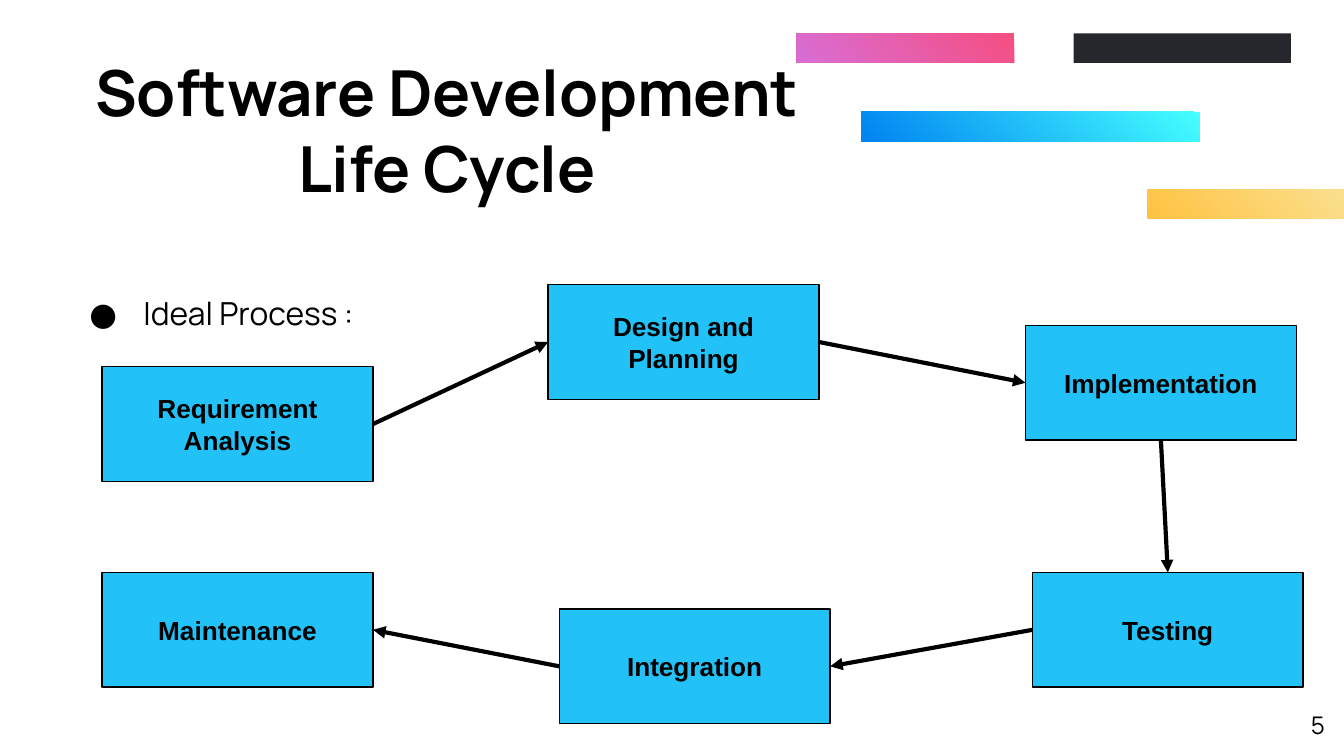
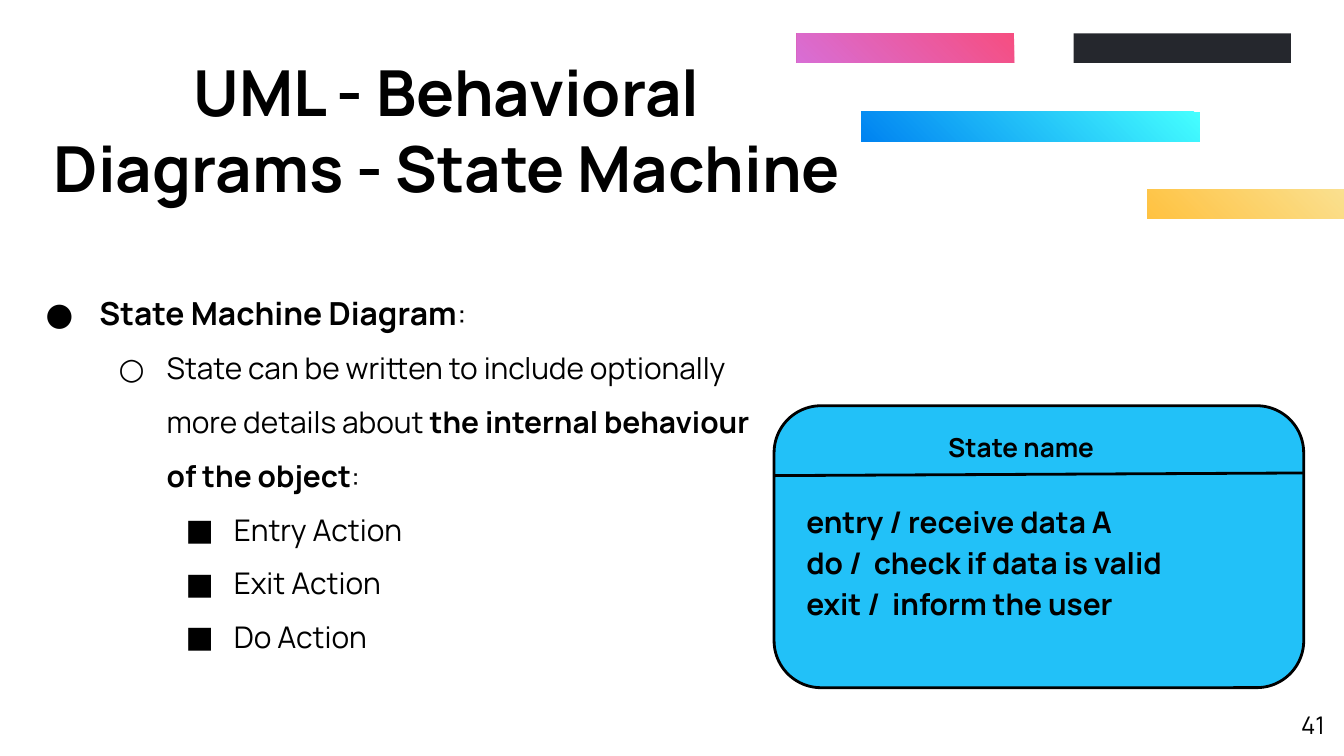
from dataclasses import dataclass
from typing import Any, NamedTuple, Optional

import lxml.etree
import pptx
import pptx.dml.color
import pptx.enum.shapes
import pptx.enum.text
import pptx.oxml.ns
import pptx.util

Cm = pptx.util.Cm
Pt = pptx.util.Pt
Align = pptx.enum.text.PP_ALIGN
Anchor = pptx.enum.text.MSO_ANCHOR
Preset = pptx.enum.shapes.MSO_SHAPE


@dataclass(frozen=True)
class Theme:
    ink: str = "000000"
    paper: str = "FFFFFF"
    node: str = "22C1F8"
    font: str = "Manrope"
    node_font: str = "Arial"
    title_size: float = 34
    lead_size: float = 17
    text_size: float = 16
    label_size: float = 14
    number_size: float = 13
    inset: float = 0.25
    thin: float = 0.75
    medium: float = 1.5
    thick: float = 2.25


THEME = Theme()


class Area(NamedTuple):
    """Left, top, width and height in centimetres."""
    left: float
    top: float
    width: float
    height: float

    def lengths(self) -> list[int]:
        return [Cm(value) for value in self]


class Band(NamedTuple):
    area: Area
    colors: tuple[str, ...]


class Step(NamedTuple):
    label: str
    left: float
    top: float


class Flow(NamedTuple):
    source: str
    source_side: int
    target: str
    target_side: int


class Level(NamedTuple):
    bullet: str
    margin: float
    hanging: float
    size: float


class Item(NamedTuple):
    level: int
    phrases: tuple[tuple[str, bool], ...]


# Shared slide elements
TITLE_AREA = Area(0.66, 0.63, 15.57, 3.63)
NUMBER_AREA = Area(23.77, 13.18, 1.52, 1.09)
BAND_HEIGHT = 0.56
BANDS = [
    Band(Area(16.28, 2.11, 6.4, BAND_HEIGHT), ("45FFFF", "0083F1")),
    Band(Area(20.29, 0.63, 4.11, BAND_HEIGHT), ("25272D",)),
    Band(Area(15.06, 0.63, 4.11, BAND_HEIGHT), ("F64E81", "D86ED5")),
    Band(Area(21.69, 3.58, 3.71, BAND_HEIGHT), ("FAE08F", "FFC241")),
]
LEVELS = [
    Level("●", 1.27, 1.02, THEME.lead_size),
    Level("○", 2.54, 0.91, THEME.text_size),
    Level("■", 3.81, 0.91, THEME.text_size),
]

# Life cycle content, with connection sites of a rectangle
TOP, LEFT, BOTTOM, RIGHT = range(4)
STEP_WIDTH, STEP_HEIGHT = 5.12, 2.17
STEPS = [
    Step("Requirement Analysis", 1.93, 6.93),
    Step("Design and Planning", 10.36, 5.38),
    Step("Implementation", 19.38, 6.15),
    Step("Testing", 19.51, 10.82),
    Step("Integration", 10.57, 11.51),
    Step("Maintenance", 1.93, 10.82),
]
FLOW_SIDES = [(RIGHT, LEFT), (RIGHT, LEFT), (BOTTOM, TOP), (LEFT, RIGHT), (LEFT, RIGHT)]
FLOWS = [
    Flow(source.label, source_side, target.label, target_side)
    for source, target, (source_side, target_side) in zip(STEPS, STEPS[1:], FLOW_SIDES)
]
PROCESS_ITEMS = [Item(0, (("Ideal Process :", False),))]

# State machine content
STATE_ITEMS = [
    Item(0, (("State Machine Diagram", True), (":", False))),
    Item(1, (
        ("State can be written to include optionally more details about ", False),
        ("the internal behaviour of the object", True),
        (":", False),
    )),
    *(Item(2, ((f"{action} Action", False),)) for action in ("Entry", "Exit", "Do")),
]
STATE_ACTIONS = "entry / receive data A\ndo /  check if data is valid\nexit /  inform the user"


def rgb(color: str) -> pptx.dml.color.RGBColor:
    return pptx.dml.color.RGBColor.from_string(color)


def add_xml(parent: Any, tag: str, **attributes: str) -> Any:
    return lxml.etree.SubElement(parent, pptx.oxml.ns.qn(tag), attributes)


def style_font(font: Any, size: float, bold: bool = False, name: str = THEME.font) -> None:
    font.name, font.size, font.bold = name, Pt(size), bold
    font.color.rgb = rgb(THEME.ink)


def prepare_frame(frame: Any, anchor: Any = Anchor.TOP) -> None:
    frame.word_wrap = True
    frame.auto_size = pptx.enum.text.MSO_AUTO_SIZE.NONE
    frame.vertical_anchor = anchor
    frame.margin_left = frame.margin_right = Cm(THEME.inset)
    frame.margin_top = frame.margin_bottom = Cm(THEME.inset)


def write(frame: Any, text: str, size: float, align: Any, bold: bool = True,
          name: str = THEME.font, anchor: Any = Anchor.TOP,
          spacing: Optional[float] = None) -> None:
    prepare_frame(frame, anchor)
    frame.text = text
    for paragraph in frame.paragraphs:
        paragraph.alignment = align
        paragraph.line_spacing = spacing
        for run in paragraph.runs:
            style_font(run.font, size, bold, name)


def place(shape: Any, area: Area) -> None:
    shape.left, shape.top, shape.width, shape.height = area.lengths()


def add_text(slide: Any, area: Area, text: str, size: float, align: Any,
             bold: bool = True, spacing: Optional[float] = None) -> None:
    label = slide.shapes.add_textbox(*area.lengths())
    write(label.text_frame, text, size, align, bold, spacing=spacing)


def add_node(slide: Any, preset: Any, area: Area, line_width: float) -> Any:
    node = slide.shapes.add_shape(preset, *area.lengths())
    node.shadow.inherit = False
    node.fill.solid()
    node.fill.fore_color.rgb = rgb(THEME.node)
    node.line.color.rgb = rgb(THEME.ink)
    node.line.width = Pt(line_width)
    return node


def add_line(slide: Any, start: tuple[float, float], end: tuple[float, float],
             width: float) -> Any:
    line = slide.shapes.add_connector(
        pptx.enum.shapes.MSO_CONNECTOR.STRAIGHT, *(Cm(value) for value in start + end))
    line.line.color.rgb = rgb(THEME.ink)
    line.line.width = Pt(width)
    add_xml(line._element.spPr, "a:effectLst")
    return line


def add_band(slide: Any, band: Band) -> None:
    bar = slide.shapes.add_shape(Preset.RECTANGLE, *band.area.lengths())
    bar.shadow.inherit = False
    bar.line.fill.background()
    if len(band.colors) == 1:
        bar.fill.solid()
        bar.fill.fore_color.rgb = rgb(band.colors[0])
        return
    bar.fill.gradient()
    bar.fill.gradient_angle = 225
    for stop, color in zip(bar.fill.gradient_stops, band.colors):
        stop.color.rgb = rgb(color)


def fill_list(body: Any, area: Area, items: list[Item]) -> None:
    place(body, area)
    frame = body.text_frame
    prepare_frame(frame)
    for index, item in enumerate(items):
        paragraph = frame.add_paragraph() if index else frame.paragraphs[0]
        level = LEVELS[item.level]
        paragraph.level = item.level
        paragraph.line_spacing = 1.5
        paragraph.space_before = Pt(0)
        properties = paragraph._p.get_or_add_pPr()
        properties.set("marL", str(Cm(level.margin)))
        properties.set("indent", str(-Cm(level.hanging)))
        add_xml(add_xml(properties, "a:buClr"), "a:srgbClr", val=THEME.ink)
        add_xml(properties, "a:buFont", typeface=THEME.font)
        add_xml(properties, "a:buChar", char=level.bullet)
        for text, bold in item.phrases:
            run = paragraph.add_run()
            run.text = text
            style_font(run.font, level.size, bold)


def add_slide(deck: Any, title: str, number: int, list_area: Area, items: list[Item]) -> Any:
    slide = deck.slides.add_slide(deck.slide_layouts[1])
    slide.background.fill.solid()
    slide.background.fill.fore_color.rgb = rgb(THEME.paper)
    for band in BANDS:
        add_band(slide, band)
    heading = slide.shapes.title
    place(heading, TITLE_AREA)
    write(heading.text_frame, title, THEME.title_size, Align.CENTER, anchor=Anchor.MIDDLE)
    fill_list(slide.placeholders[1], list_area, items)
    add_text(slide, NUMBER_AREA, str(number), THEME.number_size, Align.RIGHT, bold=False)
    return slide


def build_life_cycle(deck: Any) -> None:
    slide = add_slide(deck, "Software Development Life Cycle", 5,
                      Area(1.19, 4.95, 23.01, 1.3), PROCESS_ITEMS)
    # Process steps
    nodes = {}
    for step in STEPS:
        area = Area(step.left, step.top, STEP_WIDTH, STEP_HEIGHT)
        node = add_node(slide, Preset.RECTANGLE, area, THEME.thin)
        write(node.text_frame, step.label, THEME.label_size, Align.CENTER,
              name=THEME.node_font, anchor=Anchor.MIDDLE)
        nodes[step.label] = node
    # Arrows from step to step
    for flow in FLOWS:
        arrow = add_line(slide, (0, 0), (0, 0), THEME.thick)
        arrow.begin_connect(nodes[flow.source], flow.source_side)
        arrow.end_connect(nodes[flow.target], flow.target_side)
        add_xml(arrow.line._get_or_add_ln(), "a:tailEnd", type="triangle")


def build_state_machine(deck: Any) -> None:
    slide = add_slide(deck, "UML - Behavioral Diagrams - State Machine", 41,
                      Area(0.36, 4.95, 14.35, 8.41), STATE_ITEMS)
    # State with its name and internal actions
    add_node(slide, Preset.ROUNDED_RECTANGLE, Area(14.63, 7.67, 10.01, 5.33), THEME.medium)
    add_line(slide, (14.61, 8.99), (24.64, 8.94), THEME.medium)
    add_text(slide, Area(15.82, 7.9, 6.96, 1.12), "State name", THEME.label_size, Align.CENTER)
    add_text(slide, Area(14.99, 9.17, 9.42, 2.77), STATE_ACTIONS, THEME.text_size,
             Align.LEFT, spacing=1.15)


def main() -> None:
    deck = pptx.Presentation()
    deck.slide_width, deck.slide_height = Cm(25.4), Cm(14.29)
    build_life_cycle(deck)
    build_state_machine(deck)
    deck.save("out.pptx")


if __name__ == "__main__":
    main()
